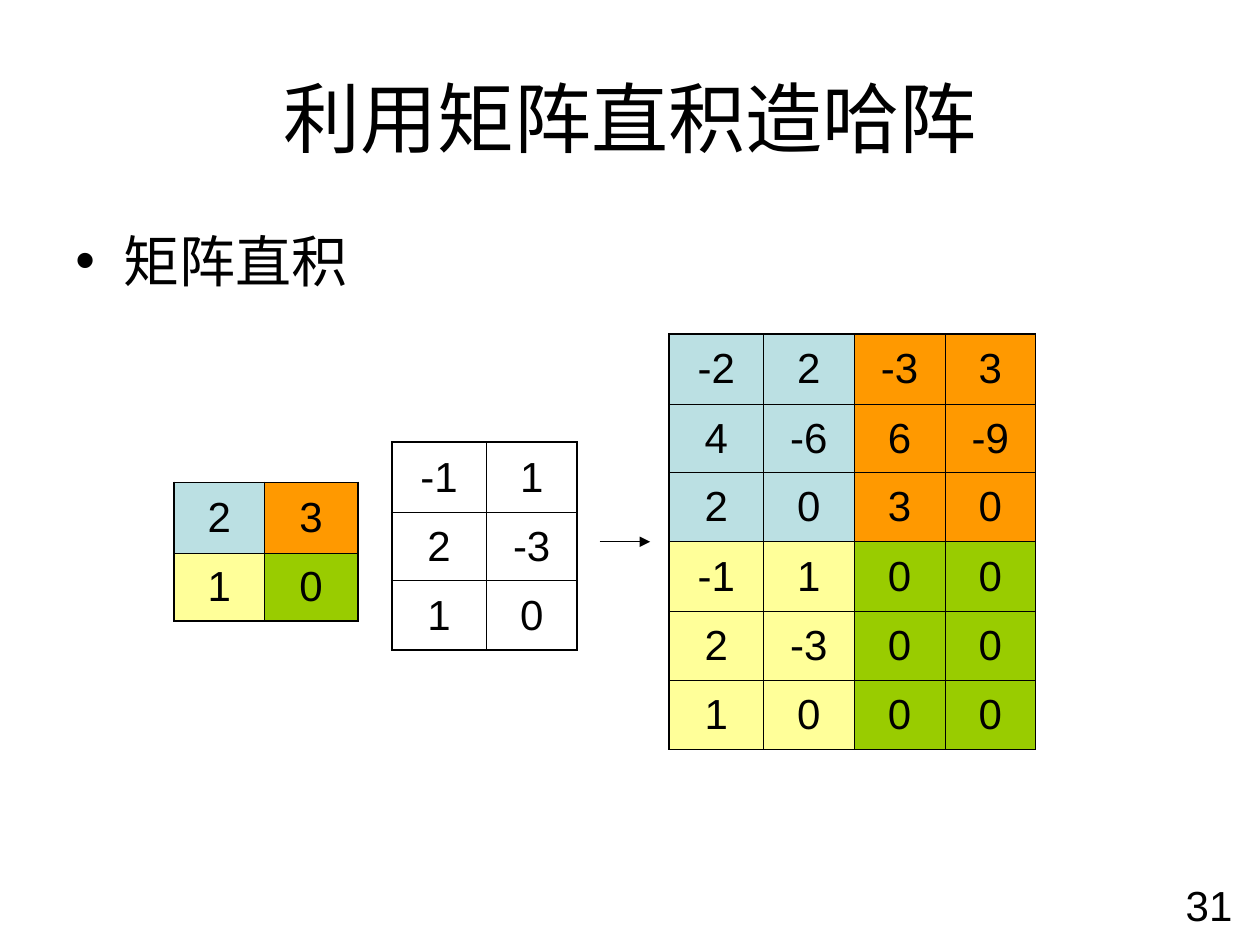
from lxml.etree import SubElement
from pptx import Presentation
from pptx.dml.color import RGBColor
from pptx.enum.shapes import MSO_CONNECTOR
from pptx.enum.text import MSO_ANCHOR, PP_ALIGN
from pptx.oxml import parse_xml
from pptx.oxml.ns import nsdecls, qn
from pptx.util import Inches, Pt

FONT = "Arial"
COLORS = {
    "black": "000000",
    "white": "FFFFFF",
    "blue": "BBE0E3",
    "orange": "FF9900",
    "yellow": "FFFF99",
    "green": "99CC00",
}
OUTER_LINE, INNER_LINE = 1.08, 0.45

# The product is the direct product of the two factors
LEFT_FACTOR = [[2, 3], [1, 0]]
RIGHT_FACTOR = [[-1, 1], [2, -3], [1, 0]]
BLOCK_COLORS = [["blue", "orange"], ["yellow", "green"]]


def grid(*units):
    """Turn units of a grid of 100 columns by 75 rows into lengths."""
    return [Inches(unit / 10) for unit in units]


def expand(blocks, rows, columns):
    """Repeat every entry over a block of rows by columns."""
    return [[entry for entry in line for _ in range(columns)]
            for line in blocks for _ in range(rows)]


def direct_product(left, right):
    return [[a * b for a in left_row for b in right_row]
            for left_row in left for right_row in right]


def format_paragraph(paragraph, size, alignment, space_before=0):
    paragraph.alignment = alignment
    paragraph.space_before = Pt(space_before)
    for run in paragraph.runs:
        run.font.name = FONT
        run.font.size = Pt(size)
        run.font.color.rgb = RGBColor.from_string(COLORS["black"])


def add_text(slide, text, box, size, alignment, anchor=MSO_ANCHOR.TOP, space_before=0):
    text_frame = slide.shapes.add_textbox(*grid(*box)).text_frame
    text_frame.word_wrap = True
    text_frame.vertical_anchor = anchor
    text_frame.text = text
    paragraph = text_frame.paragraphs[0]
    format_paragraph(paragraph, size, alignment, space_before)
    return paragraph


def add_bullet(paragraph):
    properties = paragraph._p.get_or_add_pPr()
    indent = Inches(0.38)
    properties.set("marL", str(indent))
    properties.set("indent", str(-indent))
    SubElement(properties, qn("a:buFont")).set("typeface", FONT)
    SubElement(properties, qn("a:buChar")).set("char", "•")


def set_borders(cell, outer_sides):
    """Draw thick lines on the outer sides and thin ones on the others."""
    properties = cell._tc.get_or_add_tcPr()
    for index, side in enumerate("LRTB"):
        width = Pt(OUTER_LINE if side in outer_sides else INNER_LINE)
        properties.insert(index, parse_xml(
            f'<a:ln{side} {nsdecls("a")} w="{width}"><a:solidFill>'
            f'<a:srgbClr val="{COLORS["black"]}"/></a:solidFill></a:ln{side}>'))


def add_matrix(slide, values, fills, corner, widths, heights):
    box = grid(*corner, sum(widths), sum(heights))
    table = slide.shapes.add_table(len(heights), len(widths), *box).table
    for column, width in zip(table.columns, grid(*widths)):
        column.width = width
    for row, height in zip(table.rows, grid(*heights)):
        row.height = height

    last_row, last_column = len(heights) - 1, len(widths) - 1
    for i, line in enumerate(values):
        for j, value in enumerate(line):
            cell = table.cell(i, j)
            cell.text_frame.text = str(value)
            cell.vertical_anchor = MSO_ANCHOR.MIDDLE
            format_paragraph(cell.text_frame.paragraphs[0], 24, PP_ALIGN.CENTER, 6)
            cell.fill.solid()
            cell.fill.fore_color.rgb = RGBColor.from_string(COLORS[fills[i][j]])
            edges = {"L": j == 0, "R": j == last_column,
                     "T": i == 0, "B": i == last_row}
            set_borders(cell, [side for side, outer in edges.items() if outer])


def add_arrow(slide, start, end):
    arrow = slide.shapes.add_connector(MSO_CONNECTOR.STRAIGHT, *grid(*start, *end))
    arrow.line.color.rgb = RGBColor.from_string(COLORS["black"])
    arrow.line.width = Pt(0.75)
    SubElement(arrow.line._get_or_add_ln(), qn("a:tailEnd")).set("type", "triangle")
    SubElement(arrow._element.spPr, qn("a:effectLst"))


def main():
    presentation = Presentation()
    presentation.slide_width, presentation.slide_height = grid(100, 75)
    slide = presentation.slides.add_slide(presentation.slide_layouts[6])

    # Title and bullet
    add_text(slide, "利用矩阵直积造哈阵", (5, 3, 90, 12.5), 44,
             PP_ALIGN.CENTER, MSO_ANCHOR.MIDDLE)
    add_bullet(add_text(slide, "矩阵直积", (5, 17.5, 90, 49.5), 32,
                        PP_ALIGN.LEFT, space_before=8))

    # Factors
    add_matrix(slide, LEFT_FACTOR, BLOCK_COLORS, (13.8, 38.3), [7.2, 7.4], [5.6, 5.4])
    add_matrix(slide, RIGHT_FACTOR, expand([["white"]], 3, 2), (31.1, 35.1),
               [7.5, 7.2], [5.6, 5.4, 5.5])

    # Product, coloured block by block
    add_matrix(slide, direct_product(LEFT_FACTOR, RIGHT_FACTOR),
               expand(BLOCK_COLORS, 3, 2), (53.1, 26.5),
               [7.5] + [7.2] * 3, [5.6, 5.4] + [5.5] * 4)
    add_arrow(slide, (47.6, 43), (51.6, 43))

    # Page number
    add_text(slide, "31", (75.5, 69.3, 23.3, 5.2), 24, PP_ALIGN.RIGHT)

    presentation.save("out.pptx")


if __name__ == "__main__":
    main()
